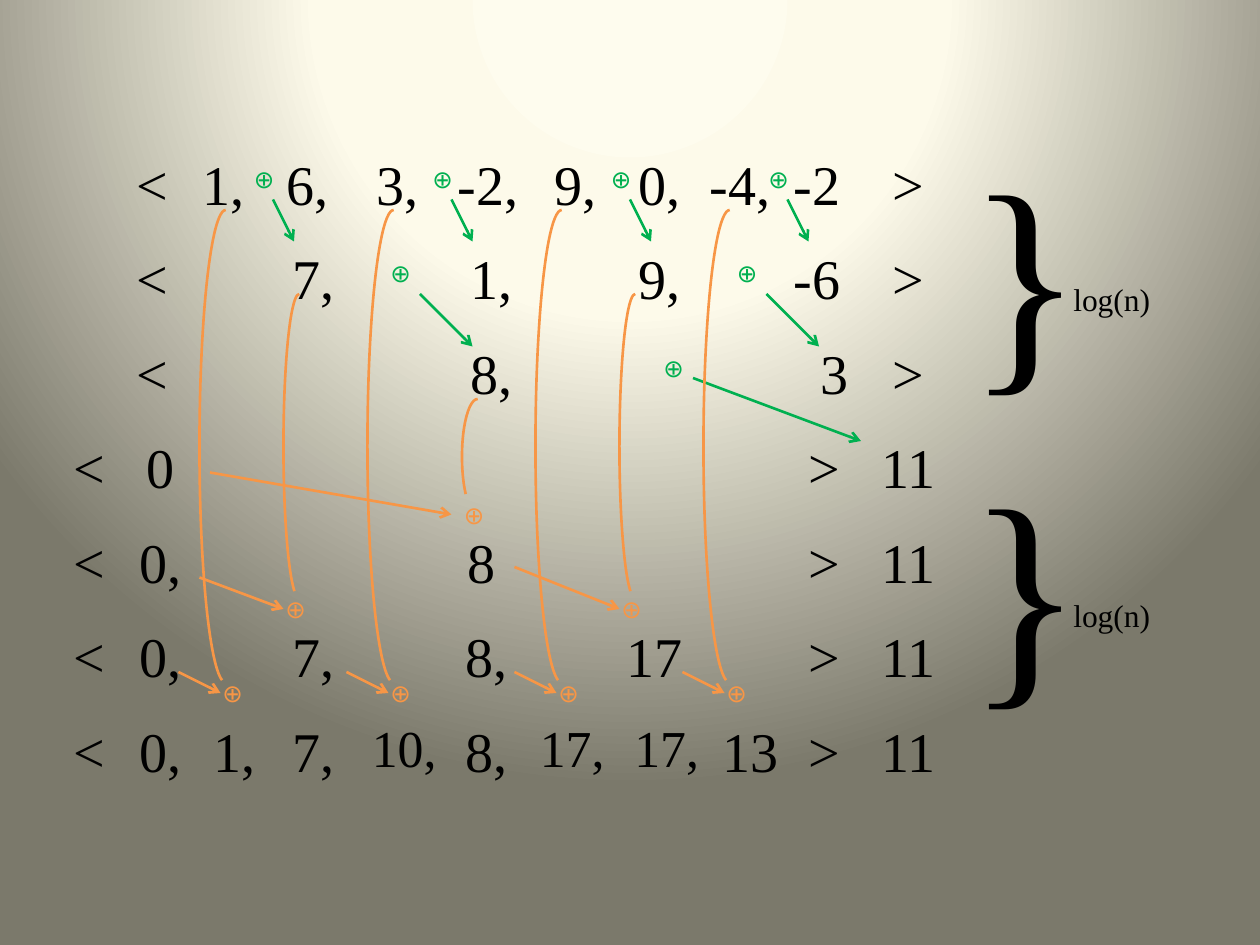
from lxml import etree
from pptx import Presentation
from pptx.dml.color import RGBColor
from pptx.enum.shapes import MSO_CONNECTOR, MSO_SHAPE
from pptx.enum.text import MSO_AUTO_SIZE, PP_ALIGN
from pptx.oxml import parse_xml
from pptx.oxml.ns import nsdecls, qn
from pptx.util import Inches, Pt

LINE, ARC = MSO_CONNECTOR.STRAIGHT, MSO_SHAPE.ARC
CENTER, LEFT = PP_ALIGN.CENTER, PP_ALIGN.LEFT
GROW = MSO_AUTO_SIZE.SHAPE_TO_FIT_TEXT
BLACK, GREEN, ORANGE = "000000", "00B050", "F79646"
SERIF, SANS = "Times New Roman", "Calibri"
STOPS = [(0, "FEFCEE"), (40, "FDFAEA"), (100, "7B796B")]

# Everything sits on a grid of twelfths of an inch.
ROW_TOP, ROW_STEP, ROW_TALL = 13, 9, 8
# Each cell: text, left, then width (9 by default) and size (32 by default).
UP_ENDS = [("<", 10), (">", 82)]
DOWN_ENDS = [("<", 4), (">", 74), ("11", 82)]
ROWS = [
    UP_ENDS + [("1, ", 18, 8), ("6, ", 26, 8), ("3, ", 34), ("-2, ", 42),
               ("9, ", 51), ("0, ", 59), ("-4, ", 66), ("-2 ", 74)],
    UP_ENDS + [("7, ", 26), ("1, ", 43), ("9, ", 59), ("-6 ", 74)],
    UP_ENDS + [("8, ", 43), ("3", 75)],
    DOWN_ENDS + [("0 ", 12, 8)],
    DOWN_ENDS + [("0, ", 12, 8), ("8 ", 42)],
    DOWN_ENDS + [("0, ", 12, 8), ("7, ", 26), ("8, ", 42, 10), ("17 ", 58, 10)],
    DOWN_ENDS + [("0, ", 12, 8), ("1, ", 19, 8), ("7, ", 26),
                 ("10, ", 34, 9, 29.6), ("8, ", 42, 10), ("17, ", 50, 9, 29.6),
                 ("17, ", 59, 9, 29.6), ("13", 67)],
]

# Each sum: colour, sign position, arrow start, arrow end.
SUMS = [(GREEN, (x, 15), (x + 3, 19), (x + 5, 23)) for x in (23, 40, 57, 72)]
SUMS += [(GREEN, (x, 24), (x + 4, 28), (x + 9, 33)) for x in (36, 69)]
SUMS += [
    (GREEN, (62, 33), (66, 36), (82, 42)),
    (ORANGE, (43, 47), (20, 45), (43, 49)),
    (ORANGE, (26, 56), (19, 55), (27, 58)),
    (ORANGE, (58, 56), (49, 54), (59, 58)),
]
LAST = (20, 36, 52, 68)
SUMS += [(ORANGE, (x, 64), (x - 3, 64), (x + 1, 66)) for x in LAST]

# Each arc: left, top, width, height, end adjustment.
ARCS = [(44, 38, 3, 11, 43.33)]
ARCS += [(x, 28, 3, 29, 52.86) for x in (27, 59)]
ARCS += [(x - 1, 20, 5, 45, 53.46) for x in LAST]

# Each phase: brace top, label top, in inches.
PHASES = [(0.92, 2.17), (3.41, 4.68)]


def unit(n):
    return Inches(n / 12)


def rgb(code):
    return RGBColor.from_string(code)


def add_text(slide, text, box, size, font=SERIF, color=BLACK, align=LEFT):
    frame = slide.shapes.add_textbox(*box).text_frame
    frame.word_wrap = True
    para = frame.paragraphs[0]
    para.alignment = align
    run = para.add_run()
    run.text = text
    run.font.size = Pt(size)
    run.font.name = font
    run.font.color.rgb = rgb(color)
    return frame


def add_cell(slide, row, text, left, width=9, size=32):
    top = ROW_TOP + row * ROW_STEP
    box = [unit(n) for n in (left, top, width, ROW_TALL)]
    frame = add_text(slide, text, box, size, align=CENTER)
    frame.margin_top = Inches(0.1)


def add_sum(slide, color, sign, start, end):
    """Add a plus sign and the arrow that carries its result or input."""
    box = [unit(n) for n in (*sign, 5, 5)]
    add_text(slide, "⊕", box, 14, SANS, color)
    ends = [unit(n) for n in (*start, *end)]
    arrow = slide.shapes.add_connector(LINE, *ends)
    arrow.line.color.rgb = rgb(color)
    arrow.line.width = Pt(1.5)
    etree.SubElement(arrow.line._get_or_add_ln(), qn("a:tailEnd"), type="arrow")
    etree.SubElement(arrow.element.spPr, qn("a:effectLst"))


def add_arc(slide, left, top, width, height, end):
    box = [unit(n) for n in (left, top, width, height)]
    arc = slide.shapes.add_shape(ARC, *box)
    arc.adjustments[0], arc.adjustments[1] = 162, end
    arc.element.spPr.find(qn("a:xfrm")).set("flipH", "1")
    arc.shadow.inherit = False
    arc.fill.background()
    arc.line.color.rgb = rgb(ORANGE)
    arc.line.width = Pt(1.5)


def set_back(slide):
    """Fill the background with a circular gradient."""
    slide.background.fill.gradient()
    old = slide.element.find(".//" + qn("a:gradFill"))
    stops = "".join(
        f'<a:gs pos="{pos * 1000}"><a:srgbClr val="{code}"/></a:gs>'
        for pos, code in STOPS)
    new = parse_xml(
        f'<a:gradFill {nsdecls("a")} rotWithShape="1"><a:gsLst>{stops}</a:gsLst>'
        '<a:path path="circle"><a:fillToRect l="50000" t="-80000" r="50000"'
        ' b="180000"/></a:path></a:gradFill>')
    old.getparent().replace(old, new)


def main():
    deck = Presentation()
    deck.slide_width, deck.slide_height = Inches(10), Inches(7.5)
    slide = deck.slides.add_slide(deck.slide_layouts[6])
    set_back(slide)
    for row, cells in enumerate(ROWS):
        for cell in cells:
            add_cell(slide, row, *cell)
    for item in SUMS:
        add_sum(slide, *item)
    for item in ARCS:
        add_arc(slide, *item)
    for brace, label in PHASES:
        for text, size, box in (("}", 138, (7.58, brace, 0.83, 2.42)),
                                ("log(n)", 18, (8.42, label, 1, 0.4))):
            frame = add_text(slide, text, [Inches(n) for n in box], size)
            frame.auto_size = GROW
    deck.save("out.pptx")


if __name__ == "__main__":
    main()
